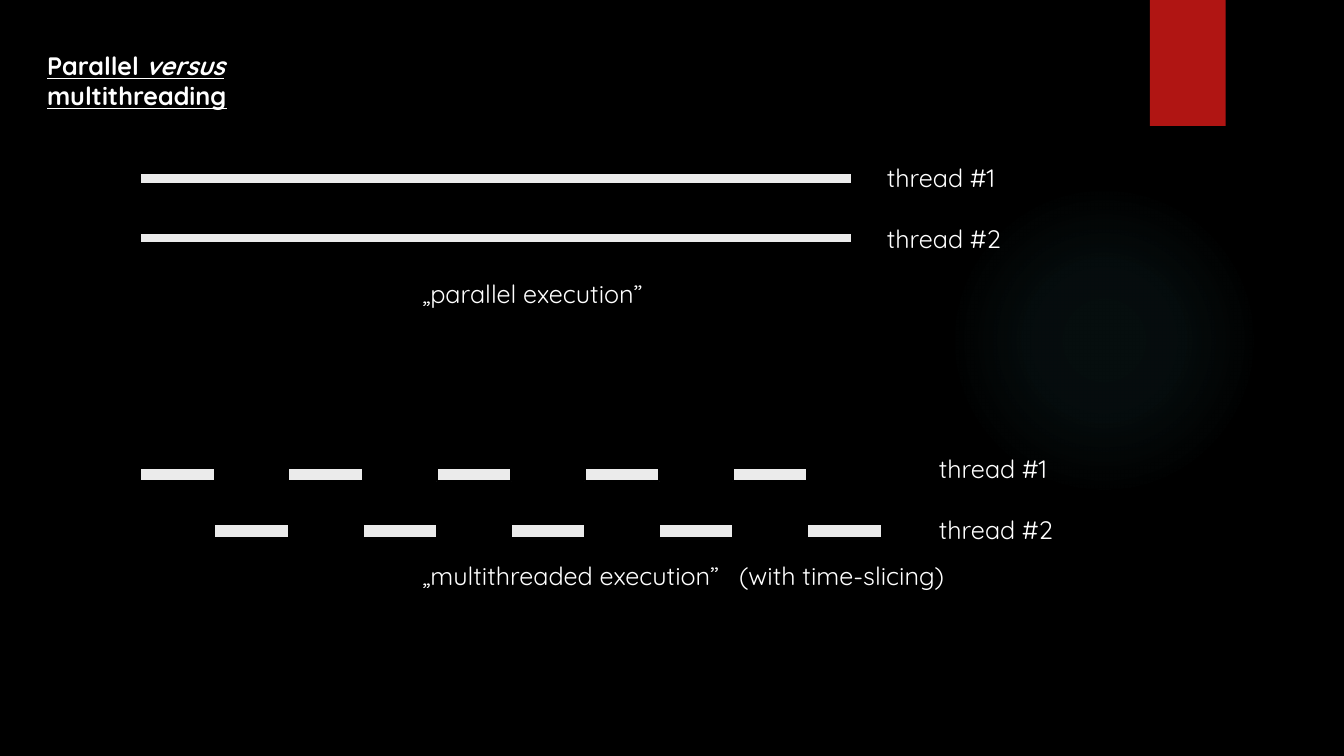
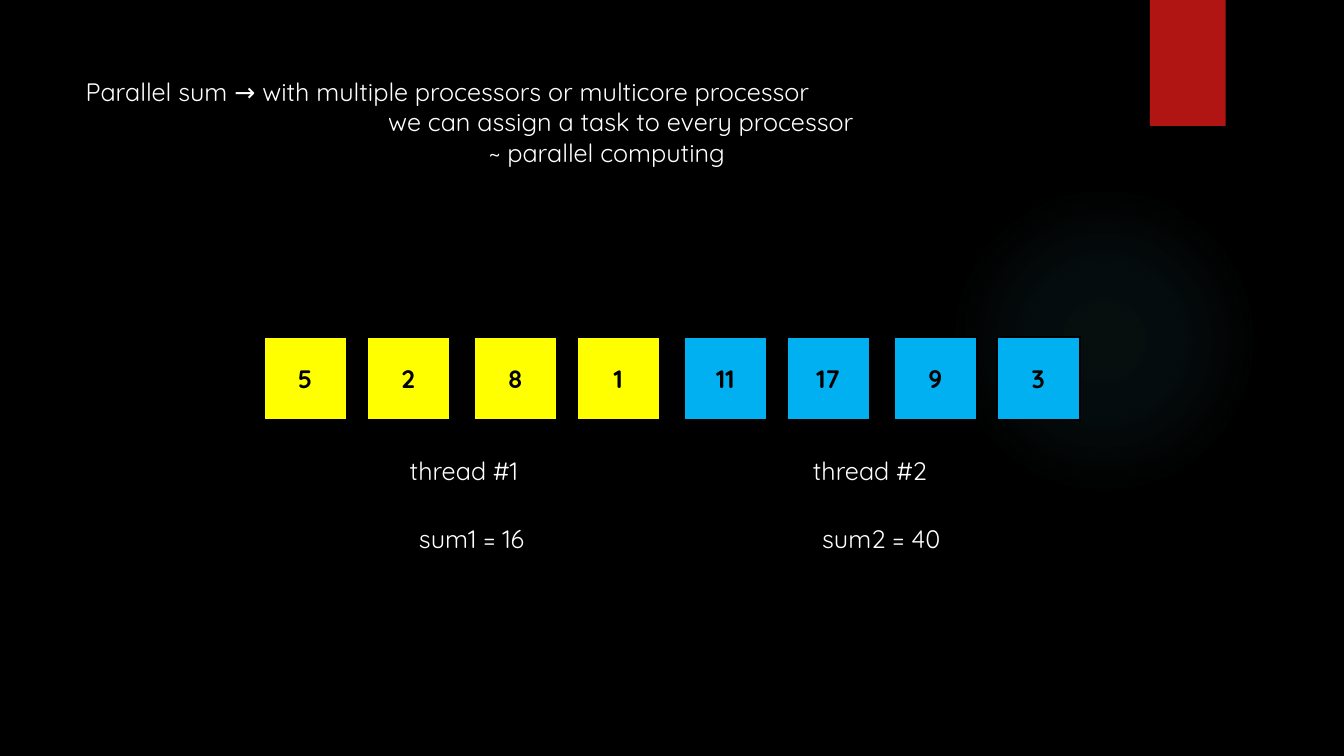
from lxml.etree import SubElement
from pptx import Presentation
from pptx.dml.color import RGBColor
from pptx.enum.shapes import MSO_SHAPE as Shape
from pptx.enum.text import MSO_ANCHOR as Anchor, MSO_AUTO_SIZE as AutoSize, PP_ALIGN as Align
from pptx.oxml.ns import qn
from pptx.util import Pt

BLACK = RGBColor(0x00, 0x00, 0x00)
WHITE = RGBColor(0xFF, 0xFF, 0xFF)
RED = RGBColor(0xB0, 0x15, 0x13)
TEAL = RGBColor(0x50, 0xB9, 0xC1)
LIGHT = RGBColor(0xEB, 0xEB, 0xEB)
YELLOW = RGBColor(0xFF, 0xFF, 0x00)
BLUE = RGBColor(0x00, 0xB0, 0xF0)

# The slide is a grid of square cells, 160 columns by 90 rows
CELL = Pt(6)
COLUMNS, ROWS = 160, 90
TEXT_FORMAT = {"name": "Quicksand", "size": Pt(18), "bold": False}
TITLE_ONLY = 5


def cells(*counts):
    return [round(count * CELL) for count in counts]


# Text
def add_span(para, text, color=WHITE, **extra):
    span = para.add_run()
    span.text = text
    for name, value in {**TEXT_FORMAT, **extra}.items():
        setattr(span.font, name, value)
    span.font.color.rgb = color


def format_frame(frame, anchor=Anchor.TOP):
    settings = {"word_wrap": True, "auto_size": AutoSize.NONE, "vertical_anchor": anchor}
    for name, value in settings.items():
        setattr(frame, name, value)


def add_text(page, area, lines, gap=0):
    """Left-aligned lines, with a gap in points between them."""
    frame = page.shapes.add_textbox(*cells(*area)).text_frame
    format_frame(frame)
    for number, line in enumerate(lines):
        para = frame.add_paragraph() if number else frame.paragraphs[0]
        para.space_before = Pt(gap if number else 0)
        add_span(para, line)


def place_title(page, area):
    title = page.shapes.title
    title.left, title.top, title.width, title.height = cells(*area)
    format_frame(title.text_frame)
    title.text_frame.paragraphs[0].alignment = Align.LEFT
    return title.text_frame


# Shapes
def add_block(page, area, color, kind=Shape.RECTANGLE, outlined=True):
    block = page.shapes.add_shape(kind, *cells(*area))
    block.shadow.inherit = False
    block.fill.solid()
    block.fill.fore_color.rgb = color
    if outlined:
        block.line.color.rgb = BLACK
        block.line.width = Pt(1.5)
    else:
        block.line.fill.background()
    return block


def add_number_square(page, area, number, color):
    frame = add_block(page, area, color).text_frame
    format_frame(frame, Anchor.MIDDLE)
    frame.paragraphs[0].alignment = Align.CENTER
    add_span(frame.paragraphs[0], str(number), BLACK, bold=True)


def fade_out(block, color, stops):
    """Replace the solid fill by a radial one; stops are (position, opacity) in percent."""
    solid = block.element.spPr.find(qn("a:solidFill"))
    gradient = solid.makeelement(qn("a:gradFill"), {"rotWithShape": "1"})
    stop_list = SubElement(gradient, qn("a:gsLst"))
    for position, opacity in stops:
        stop = SubElement(stop_list, qn("a:gs"), pos=str(position * 1000))
        tint = SubElement(stop, qn("a:srgbClr"), val=str(color))
        SubElement(tint, qn("a:alpha"), val=str(opacity * 1000))
    route = SubElement(gradient, qn("a:path"), path="circle")
    SubElement(route, qn("a:fillToRect"), dict.fromkeys("ltrb", "50000"))
    solid.getparent().replace(solid, gradient)


def decorate_master(deck, page):
    """Black background, glow and red band, shared by all slides."""
    master = deck.slide_master
    master.background.fill.solid()
    master.background.fill.fore_color.rgb = BLACK
    glow = add_block(page, (112.9, 22, 37, 37), TEAL, Shape.OVAL, outlined=False)
    fade_out(glow, TEAL, [(0, 7), (36, 6), (69, 0)])
    band = add_block(page, (136.9, 0, 9, 15), RED, outlined=False)
    for number, shape in enumerate((glow, band)):
        shape.element.nvSpPr.cNvPr.set("id", str(100 + number))
        master.shapes.element.insert(2 + number, shape.element)


# Slides
def fill_comparison(page):
    title = place_title(page, (4.4, 5.4, 25.2, 9.6)).paragraphs[0]
    for text, italic in (("Parallel ", False), ("versus", True), (" multithreading", False)):
        add_span(title, text, bold=True, underline=True, italic=italic)

    # Thread names and captions
    for left, top in ((104.4, 18.7), (110.6, 53.4)):
        add_text(page, (left, top, 17.3, 12.1), ["thread #1", "thread #2"], gap=22)
    captions = [
        (49.1, 32.5, "„parallel execution”"),
        (49.1, 66.1, "„multithreaded execution”"),
        (86.8, 66.1, "(with time-slicing)"),
    ]
    for left, top, text in captions:
        add_text(page, (left, top, 40, 4.8), [text])

    # Whole bars run side by side, time slices take turns
    start, slice_step = 16.7, 8.82
    for top in (20.6, 27.7):
        add_block(page, (start, top, 84.7, 1.3), LIGHT)
    for turn in range(10):
        top = (55.7, 62.4)[turn % 2]
        add_block(page, (start + turn * slice_step, top, 8.88, 1.6), LIGHT)


def fill_parallel_sum(page):
    # Title lines, each with its indent in cells
    frame = place_title(page, (9, 8.5, 97, 12.1))
    lines = [
        (0, "Parallel sum → with multiple processors or multicore processor"),
        (36, "we can assign a task to every processor"),
        (48, "~ parallel computing"),
    ]
    for number, (indent, text) in enumerate(lines):
        para = frame.add_paragraph() if number else frame.paragraphs[0]
        para.alignment = Align.LEFT
        para._p.get_or_add_pPr().set("marL", str(indent * CELL))
        add_span(para, text)

    # Numbers stand in pairs, two pairs to a thread
    groups = [([5, 2, 8, 1], YELLOW), ([11, 17, 9, 3], BLUE)]
    pair_step, square_step, group_step = 25, 12.25, 48
    for group, (numbers, color) in enumerate(groups):
        for index, number in enumerate(numbers):
            pair, side = divmod(index, 2)
            left = 31.4 + (2 * group + pair) * pair_step + side * square_step
            add_number_square(page, (left, 40.1, 9.9, 9.9), number, color)
        shift = group * group_step
        add_text(page, (47.6 + shift, 53.6, 20, 4.8), [f"thread #{group + 1}"])
        add_text(page, (48.7 + shift, 61.7, 20, 4.8), [f"sum{group + 1} = {sum(numbers)}"])


def main():
    deck = Presentation()
    deck.slide_width, deck.slide_height = cells(COLUMNS, ROWS)
    layout = deck.slide_layouts[TITLE_ONLY]
    comparison, parallel_sum = (deck.slides.add_slide(layout) for _ in range(2))
    decorate_master(deck, comparison)
    fill_comparison(comparison)
    fill_parallel_sum(parallel_sum)
    deck.save("out.pptx")


if __name__ == "__main__":
    main()
